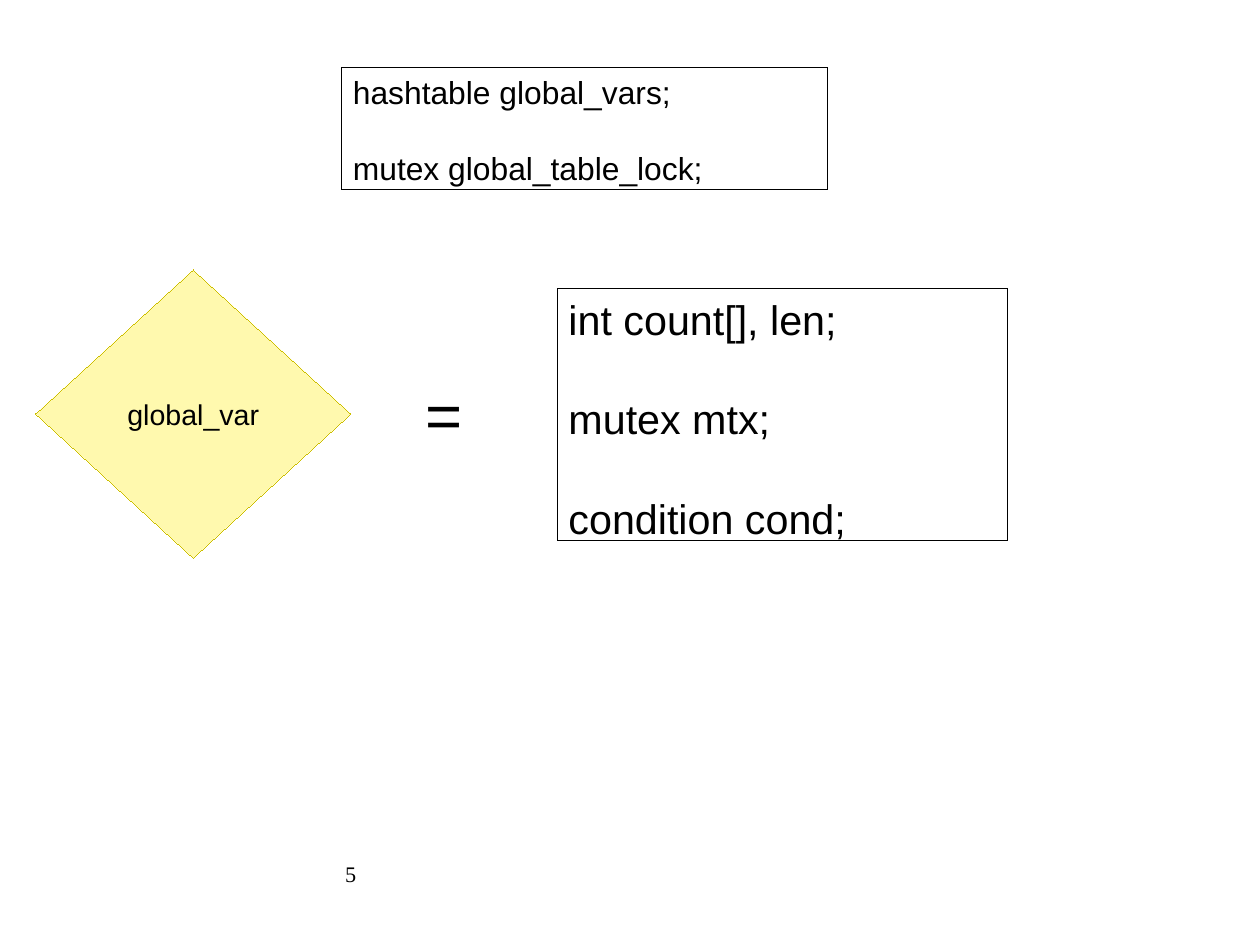
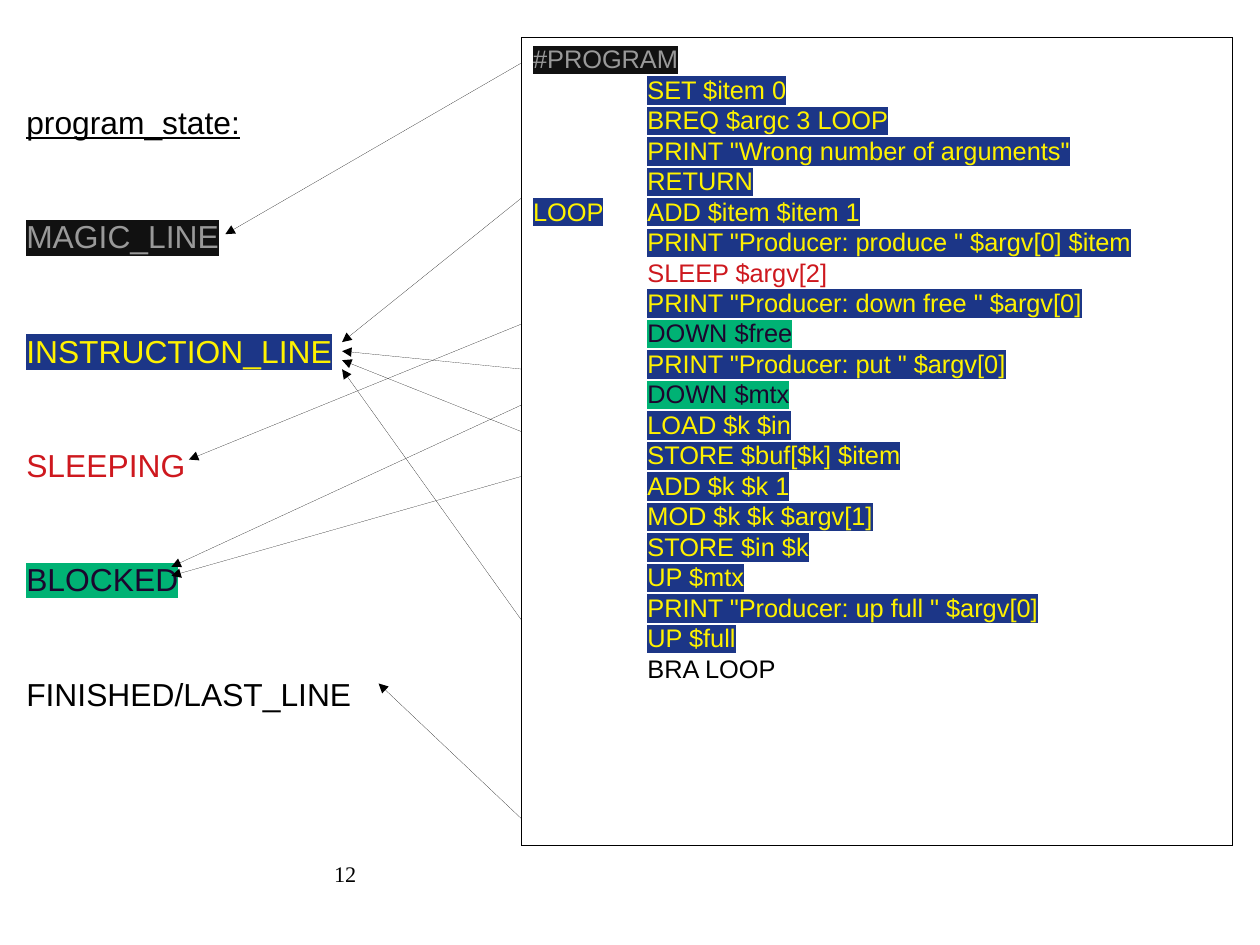
import pptx
import pptx.dml.color
import pptx.enum.shapes
import pptx.enum.text
import pptx.oxml
import pptx.oxml.ns
import pptx.util

Pt = pptx.util.Pt
MSO_SHAPE = pptx.enum.shapes.MSO_SHAPE
ALIGN = pptx.enum.text.PP_ALIGN
ANCHOR = pptx.enum.text.MSO_ANCHOR
NS = pptx.oxml.ns.nsdecls("a")

BLACK = "000000"
DIAMOND_FILL, DIAMOND_LINE = "FFF9AE", "CCBE00"
BODY_FONT, FOOTER_FONT = "Arial", "Times New Roman"
LEADING = 1.2
INSETS = (7.2, 3.6)
TAB_STOP = 72

# Text colour and highlight of each program state
STATES = {
    "plain": (BLACK, None),
    "magic": ("999999", "111111"),
    "instruction": ("FFF200", "1C3687"),
    "sleeping": ("CE181E", None),
    "blocked": ("1C052E", "00B274"),
}

# Box (left, top, width, height), text size, lines
DECLARATIONS = [
    ((351, 182, 283.5, 158.5), 26, ["int count[], len;", "mutex mtx;", "condition cond;"]),
    ((215.2, 42.4, 306, 77), 20, ["hashtable global_vars;", "mutex global_table_lock;"]),
]

STATE_NAMES = [
    ("magic", "MAGIC_LINE"),
    ("instruction", "INSTRUCTION_LINE"),
    ("sleeping", "SLEEPING"),
    ("blocked", "BLOCKED"),
    ("plain", "FINISHED/LAST_LINE"),
]

# State, label, instruction
PROGRAM = [
    ("magic", "#PROGRAM", ""),
    ("instruction", "", "SET $item 0"),
    ("instruction", "", "BREQ $argc 3 LOOP"),
    ("instruction", "", 'PRINT "Wrong number of arguments"'),
    ("instruction", "", "RETURN"),
    ("instruction", "LOOP", "ADD $item $item 1"),
    ("instruction", "", 'PRINT "Producer: produce " $argv[0] $item'),
    ("sleeping", "", "SLEEP $argv[2]"),
    ("instruction", "", 'PRINT "Producer: down free " $argv[0]'),
    ("blocked", "", "DOWN $free"),
    ("instruction", "", 'PRINT "Producer: put " $argv[0]'),
    ("blocked", "", "DOWN $mtx"),
    ("instruction", "", "LOAD $k $in"),
    ("instruction", "", "STORE $buf[$k] $item"),
    ("instruction", "", "ADD $k $k 1"),
    ("instruction", "", "MOD $k $k $argv[1]"),
    ("instruction", "", "STORE $in $k"),
    ("instruction", "", "UP $mtx"),
    ("instruction", "", 'PRINT "Producer: up full " $argv[0]'),
    ("instruction", "", "UP $full"),
    ("plain", "", "BRA LOOP"),
]

PROGRAM_BOX = (328.8, 23.8, 448, 509)
TIP_GAP = 5.7

# Position of the first arrow tip, heights where the arrows leave the program
ARROWS = [
    ((142, 147.5), [39.5]),
    ((215.5, 215.5), [124.5, 232.5, 272, 391]),
    ((108, 357), [255, 300]),
    ((119, 289.5), [204]),
    ((238.5, 430.5), [516]),
]


def rgb(color):
    return pptx.dml.color.RGBColor.from_string(color)


def add_run(p, text, size, state="plain", font=BODY_FONT):
    color, highlight = STATES[state]
    r = p.add_run()
    r.text = text
    r.font.size = Pt(size)
    r.font.name = font
    r.font.color.rgb = rgb(color)
    if highlight:
        fill = r._r.rPr.find(pptx.oxml.ns.qn("a:solidFill"))
        fill.addnext(pptx.oxml.parse_xml(
            f'<a:highlight {NS}><a:srgbClr val="{highlight}"/></a:highlight>'))
    return r


def set_frame(sp, anchor=ANCHOR.TOP, wrap=True, insets=INSETS):
    tf = sp.text_frame
    tf.word_wrap = wrap
    tf.vertical_anchor = anchor
    tf.margin_left = tf.margin_right = Pt(insets[0])
    tf.margin_top = tf.margin_bottom = Pt(insets[1])
    return tf


def add_line(tf, index, size, blank_lines=0, align=ALIGN.LEFT):
    """Return paragraph number index, set apart by blank_lines line heights."""
    p = tf.add_paragraph() if index else tf.paragraphs[0]
    p.alignment = align
    p.line_spacing = Pt(size * LEADING)
    if index:
        p.space_before = Pt(size * LEADING * blank_lines)
    return p


def add_tab_stop(p, position):
    p._p.get_or_add_pPr().append(pptx.oxml.parse_xml(
        f'<a:tabLst {NS}><a:tab pos="{Pt(position)}" algn="l"/></a:tabLst>'))


def set_hairline(line, color):
    """Write the zero width into the XML, as the width property drops it."""
    line.color.rgb = rgb(color)
    ln = line._get_or_add_ln()
    ln.set("w", "0")
    return ln


def add_text(slide, box, **frame):
    return set_frame(slide.shapes.add_textbox(*map(Pt, box)), **frame)


def add_box(slide, box, kind=MSO_SHAPE.RECTANGLE, fill=None, line=BLACK, **frame):
    sp = slide.shapes.add_shape(kind, *map(Pt, box))
    sp.shadow.inherit = False
    if fill:
        sp.fill.solid()
        sp.fill.fore_color.rgb = rgb(fill)
    else:
        sp.fill.background()
    set_hairline(sp.line, line)
    return set_frame(sp, **frame)


def add_arrow(slide, start, end):
    arrow = slide.shapes.add_connector(
        pptx.enum.shapes.MSO_CONNECTOR.STRAIGHT, *map(Pt, start + end))
    set_hairline(arrow.line, BLACK).append(
        pptx.oxml.parse_xml(f'<a:tailEnd {NS} type="triangle"/>'))
    arrow._element.spPr.append(pptx.oxml.parse_xml(f"<a:effectLst {NS}/>"))


def new_slide(prs):
    return prs.slides.add_slide(prs.slide_layouts[6])


def add_page_number(slide, number):
    tf = add_text(slide, (39.5, 542, 185, 41), insets=(0, 0))
    add_run(add_line(tf, 0, 14, align=ALIGN.RIGHT), number, 14, font=FOOTER_FONT)


def build_variables(prs):
    slide = new_slide(prs)
    tf = add_box(slide, (22.5, 170, 198.5, 181.5), MSO_SHAPE.DIAMOND, DIAMOND_FILL,
                 DIAMOND_LINE, anchor=ANCHOR.MIDDLE, wrap=False)
    add_run(add_line(tf, 0, 18, align=ALIGN.CENTER), "global_var", 18)
    for box, size, lines in DECLARATIONS:
        tf = add_box(slide, box)
        for i, text in enumerate(lines):
            add_run(add_line(tf, i, size, blank_lines=1), text, size)
    tf = add_text(slide, (261, 232.5, 45.5, 54))
    add_run(add_line(tf, 0, 40), "=", 40)
    add_page_number(slide, "5")


def build_states(prs):
    slide = new_slide(prs)
    tf = add_text(slide, (9.5, 61.2, 244, 385))
    add_run(add_line(tf, 0, 20), "program_state:", 20).font.underline = True
    for i, (state, name) in enumerate(STATE_NAMES, 1):
        add_run(add_line(tf, i, 20, blank_lines=2), name, 20, state)

    tf = add_box(slide, PROGRAM_BOX)
    for i, (state, label, instruction) in enumerate(PROGRAM):
        p = add_line(tf, i, 16)
        add_tab_stop(p, TAB_STOP)
        if label:
            add_run(p, label, 16, state)
        if instruction:
            add_run(p, "\t", 16)
            add_run(p, instruction, 16, state)

    for (x, y), starts in ARROWS:
        for i, start_y in enumerate(starts):
            add_arrow(slide, (PROGRAM_BOX[0], start_y), (x, y + i * TIP_GAP))
    add_page_number(slide, "12")


def main():
    prs = pptx.Presentation()
    prs.slide_width, prs.slide_height = Pt(793.75), Pt(595.25)
    build_variables(prs)
    build_states(prs)
    prs.save("out.pptx")


if __name__ == "__main__":
    main()
